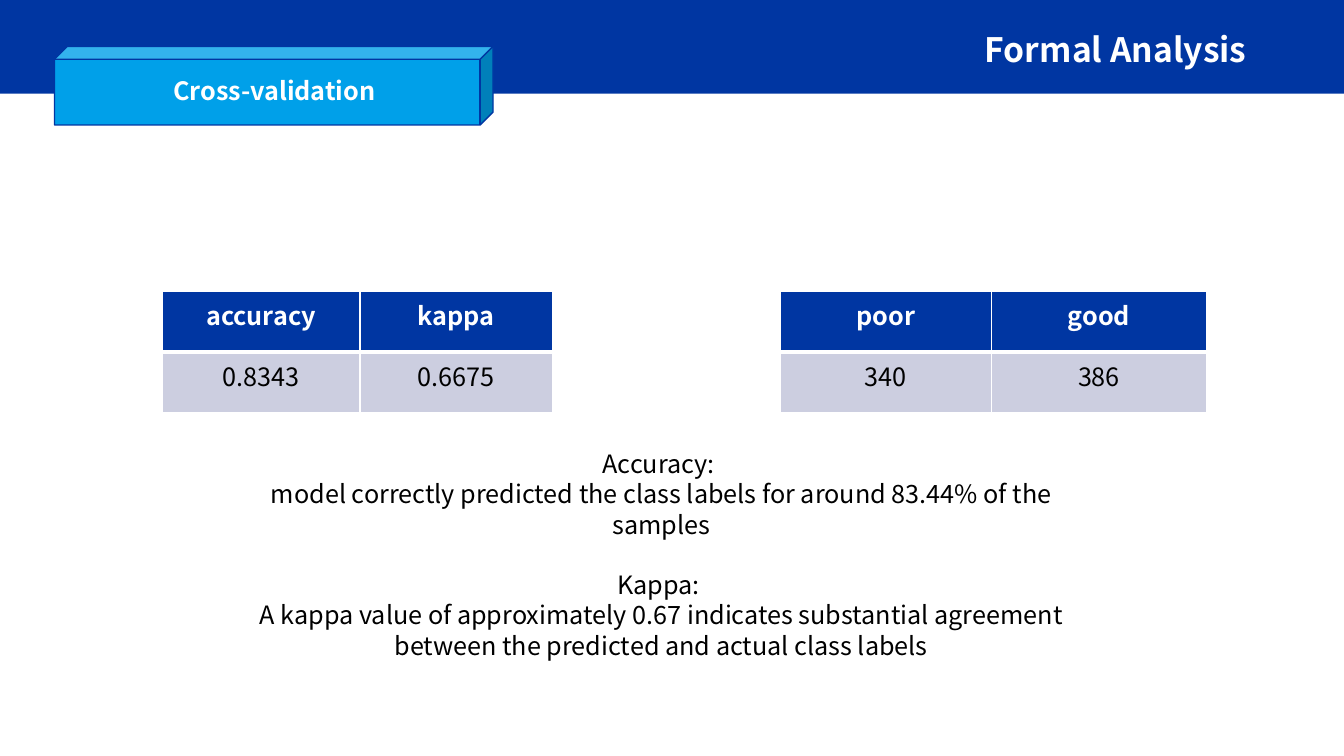
from lxml.etree import SubElement
from pptx import Presentation
from pptx.dml.color import RGBColor as Rgb
from pptx.enum.shapes import MSO_SHAPE as Shape
from pptx.enum.text import MSO_ANCHOR as Anchor, MSO_AUTO_SIZE as AutoSize, PP_ALIGN as Align
from pptx.oxml.ns import qn
from pptx.util import Inches, Pt

COLORS = {"navy": "0036A2", "sky": "00A0E9", "pale": "CCCEE0", "white": "FFFFFF", "black": "000000"}
FONT = "Noto Sans CJK SC"


def color(name):
    return Rgb.from_string(COLORS[name])


def write(paragraph, text, size=18, ink="black", bold=False, before=0):
    paragraph.alignment = Align.CENTER
    paragraph.space_before = Pt(before)
    run = paragraph.add_run()
    run.text = text
    run.font.name, run.font.size, run.font.bold = FONT, Pt(size), bold
    run.font.color.rgb = color(ink)


class SlideBuilder:
    """Draws styled elements on the current slide."""

    def __init__(self, slide):
        self.shapes = slide.shapes

    def block(self, kind, box, fill, line=None):
        block = self.shapes.add_shape(kind, *map(Inches, box))
        block.shadow.inherit = False
        block.fill.solid()
        block.fill.fore_color.rgb = color(fill)
        if line:
            block.line.color.rgb = color(line)
            block.line.width = Pt(1)
        else:
            block.line.fill.background()
        return block

    def label(self, text, box):
        cube = self.block(Shape.CUBE, box, "sky", "navy")
        cube.adjustments[0] = 0.164
        frame = cube.text_frame
        frame.vertical_anchor = Anchor.MIDDLE
        frame.margin_left, frame.margin_top = Inches(0.24), Inches(0.05)
        frame.margin_right, frame.margin_bottom = Inches(0.1), Inches(0.08)
        write(frame.paragraphs[0], text, ink="white", bold=True)

    def text(self, lines, box, grow=False, **style):
        frame = self.shapes.add_textbox(*map(Inches, box)).text_frame
        frame.word_wrap = True
        if grow:
            frame.auto_size = AutoSize.SHAPE_TO_FIT_TEXT
        for index, (line, before) in enumerate(lines):
            paragraph = frame.add_paragraph() if index else frame.paragraphs[0]
            write(paragraph, line, before=before, **style)

    def borders(self, cell, top, bottom):
        properties = cell._tc.get_or_add_tcPr()
        widths = {"a:lnL": 1, "a:lnR": 1, "a:lnT": top, "a:lnB": bottom}
        for index, (side, width) in enumerate(widths.items()):
            edge = SubElement(properties, qn(side), w=str(Pt(width)))
            fill = SubElement(edge, qn("a:solidFill"))
            SubElement(fill, qn("a:srgbClr"), val=COLORS["white"])
            properties.insert(index, edge)

    def table(self, rows, left, top, widths, height=0.6):
        size = (sum(widths), height * len(rows))
        table = self.shapes.add_table(len(rows), len(widths), *map(Inches, (left, top, *size))).table
        for column, width in zip(table.columns, widths):
            column.width = Inches(width)
        for r, values in enumerate(rows):
            header = r == 0
            for c, value in enumerate(values):
                cell = table.cell(r, c)
                cell.fill.solid()
                cell.fill.fore_color.rgb = color("navy" if header else "pale")
                self.borders(cell, top=1 if header else 3, bottom=3 if header else 1)
                write(cell.text_frame.paragraphs[0], value, ink="white" if header else "black", bold=header)


def main():
    deck = Presentation()
    deck.slide_width, deck.slide_height = Inches(13.33), Inches(7.5)
    page = SlideBuilder(deck.slides.add_slide(deck.slide_layouts[6]))

    page.block(Shape.RECTANGLE, (0, 0, 13.33, 0.93), "navy")
    page.label("Cross-validation", (0.54, 0.46, 4.35, 0.78))
    page.text([("Formal Analysis", 0)], (8.79, 0.24, 4.55, 0.43), size=24, ink="white", bold=True)

    findings = [
        ("Accuracy: ", 0),
        ("model correctly predicted the class labels for around 83.44% of the samples", 0),
        ("Kappa: ", 21.6),
        ("A kappa value of approximately 0.67 indicates substantial agreement "
         "between the predicted and actual class labels", 0),
    ]
    page.text(findings, (2.08, 4.4, 8.96, 1.92), grow=True)

    page.table([("poor", "good"), ("340", "386")], 7.74, 2.89, (2.09, 2.14))
    page.table([("accuracy", "kappa"), ("0.8343", "0.6675")], 1.61, 2.89, (1.96, 1.91))
    deck.save("out.pptx")


if __name__ == "__main__":
    main()
